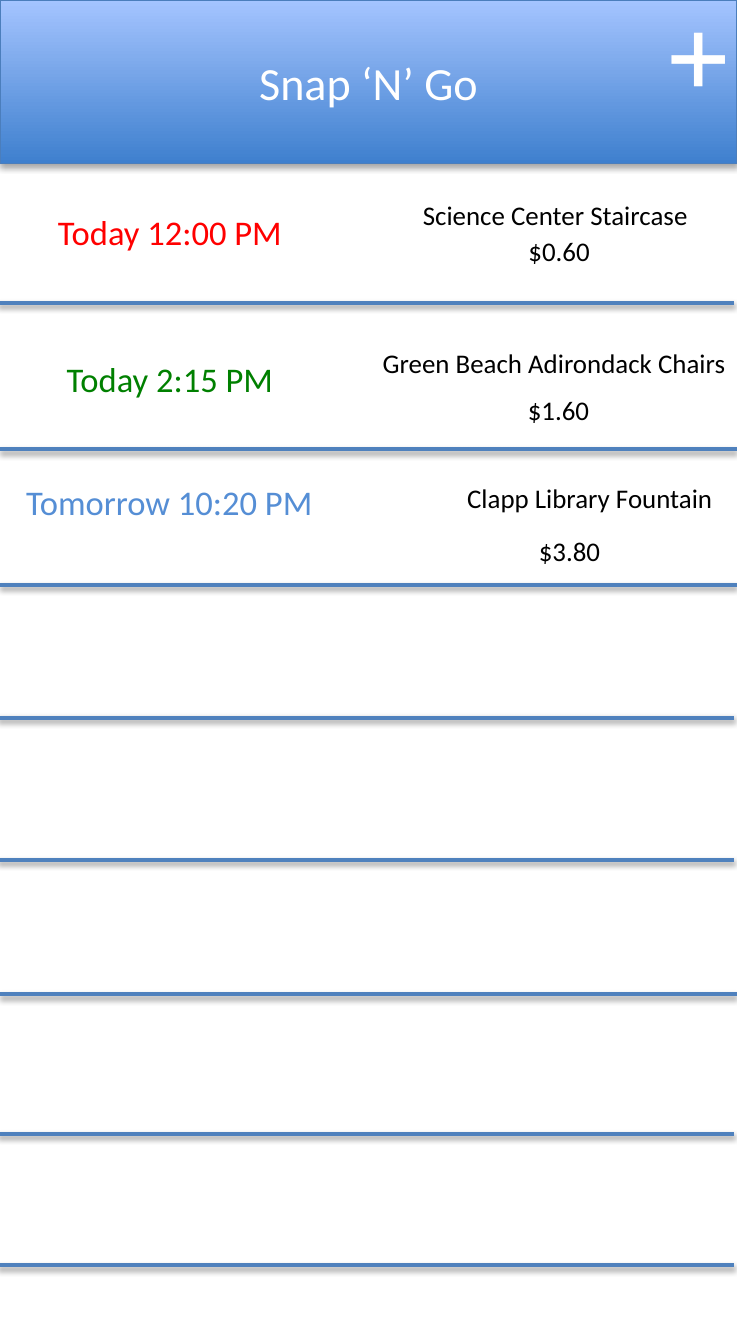
import pptx
import pptx.dml.color
import pptx.enum.dml
import pptx.enum.shapes
import pptx.enum.text
import pptx.oxml
import pptx.oxml.ns
import pptx.util

Pt = pptx.util.Pt
RGB = pptx.dml.color.RGBColor.from_string
Align = pptx.enum.text.PP_ALIGN

# Content: text with its box (left, top, width, height) in points
TITLE = "Snap ‘N’ Go"
ADD_SIGN = ("+", (340.6, -9.4, 42.5, 72.7))
TASKS = [
    {"time": ("Today 12:00 PM", (10.8, 106.5, 155.5, 29)), "color": "soon",
     "place": ("Science Center Staircase", (213.1, 100.1, 156.2, 24.2)),
     "price": ("$0.60", (213.1, 118.8, 156.2, 24.2))},
    {"time": ("Today 2:15 PM", (10.8, 182.9, 155.5, 29)), "color": "today",
     "place": ("Green Beach Adirondack Chairs", (192.2, 177.1, 198, 24.2)),
     "price": ("$1.60", (200.9, 201.6, 180, 24.2))},
    {"time": ("Tomorrow 10:20 PM", (0, 247, 176.4, 29)), "color": "later",
     "place": ("Clapp Library Fountain", (236.2, 247, 146.9, 24.2)),
     "price": ("$3.80", (223.9, 275, 145.4, 24.2))},
]
# Row dividers: left end and height on the page
DIVIDERS = [(-1.4, 157.7), (0, 234), (0, 304.6), (-1.4, 373.7),
            (-1.4, 447.8), (0, 517.7), (-1.4, 590.4), (-1.4, 658.8)]

PAGE_WIDTH, PAGE_HEIGHT, HEADER_HEIGHT = 383.8, 699.8, 85

THEME = {
    "font": "Calibri", "sign_font": "DejaVu Sans Mono",
    "title_size": 24, "sign_size": 54, "time_size": 18, "detail_size": 14,
    "light": "FFFFFF", "dark": "000000",
    "soon": "FF0000", "today": "008000", "later": "558ED5",
    "header": ("3F80CE", "A4C4FF"), "header_line": "4B7EBC",
    "divider": "4F81BD",
}


def write(frame, text, size, color="dark", font="font", align=Align.LEFT):
    """Put one formatted paragraph into a text frame."""
    frame.word_wrap = True
    para = frame.paragraphs[0]
    para.alignment = align
    span = para.add_run()
    span.text = text
    span.font.name = THEME[font]
    span.font.size = Pt(THEME[size])
    span.font.color.rgb = RGB(THEME[color])


def add_text(page, item, **style):
    text, place = item
    box = page.shapes.add_textbox(*map(Pt, place))
    write(box.text_frame, text, **style)
    box.text_frame.auto_size = pptx.enum.text.MSO_AUTO_SIZE.SHAPE_TO_FIT_TEXT


def add_shadow(shape, distance, opacity):
    """Give a shape a soft black shadow straight below it."""
    shape._element.spPr.append(pptx.oxml.parse_xml(
        f'<a:effectLst {pptx.oxml.ns.nsdecls("a")}>'
        f'<a:outerShdw blurRad="{Pt(3.1)}" dist="{Pt(distance)}" dir="5400000" rotWithShape="0">'
        f'<a:srgbClr val="000000"><a:alpha val="{opacity * 1000}"/></a:srgbClr>'
        '</a:outerShdw></a:effectLst>'))


deck = pptx.Presentation()
deck.slide_width, deck.slide_height = Pt(PAGE_WIDTH), Pt(PAGE_HEIGHT)
page = deck.slides.add_slide(deck.slide_layouts[6])

# Header bar with title and add sign
header = page.shapes.add_shape(pptx.enum.shapes.MSO_SHAPE.RECTANGLE,
                               0, 0, Pt(PAGE_WIDTH), Pt(HEADER_HEIGHT))
header.fill.gradient()
header.fill.gradient_angle = 90
for stop, position, color in zip(header.fill.gradient_stops, (0, 1), THEME["header"]):
    stop.position = position
    stop.color.rgb = RGB(color)
header.line.color.rgb = RGB(THEME["header_line"])
header.line.width = Pt(0.75)
add_shadow(header, distance=1.8, opacity=35)
header.text_frame.vertical_anchor = pptx.enum.text.MSO_ANCHOR.MIDDLE
write(header.text_frame, TITLE, size="title_size", color="light", align=Align.CENTER)
add_text(page, ADD_SIGN, size="sign_size", color="light", font="sign_font")

# Row dividers
for left, top in DIVIDERS:
    divider = page.shapes.add_connector(
        pptx.enum.shapes.MSO_CONNECTOR.STRAIGHT,
        Pt(left), Pt(top), Pt(left + PAGE_WIDTH), Pt(top))
    divider.line.color.rgb = RGB(THEME["divider"])
    divider.line.width = Pt(2)
    add_shadow(divider, distance=1.6, opacity=38)

# Task rows
for task in TASKS:
    add_text(page, task["place"], size="detail_size")
    add_text(page, task["time"], size="time_size", color=task["color"], align=Align.CENTER)
    add_text(page, task["price"], size="detail_size", align=Align.CENTER)

deck.save("out.pptx")
